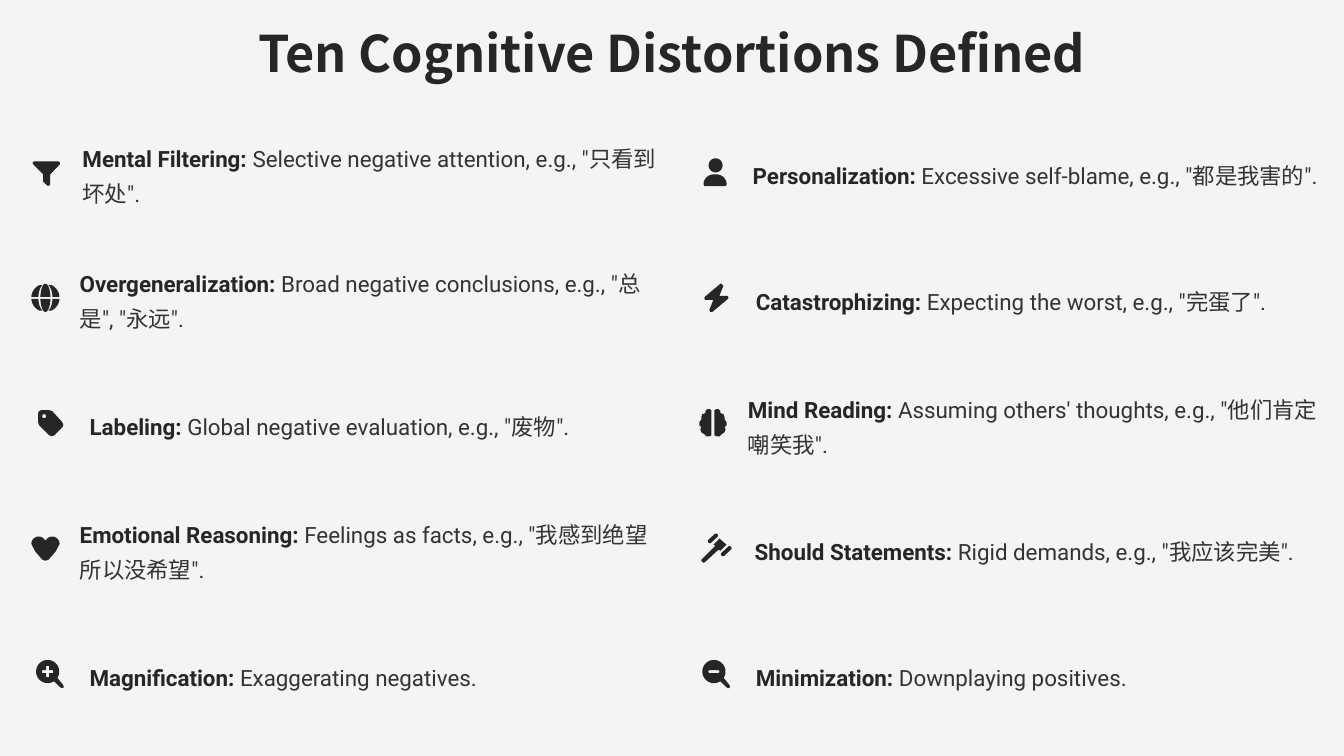
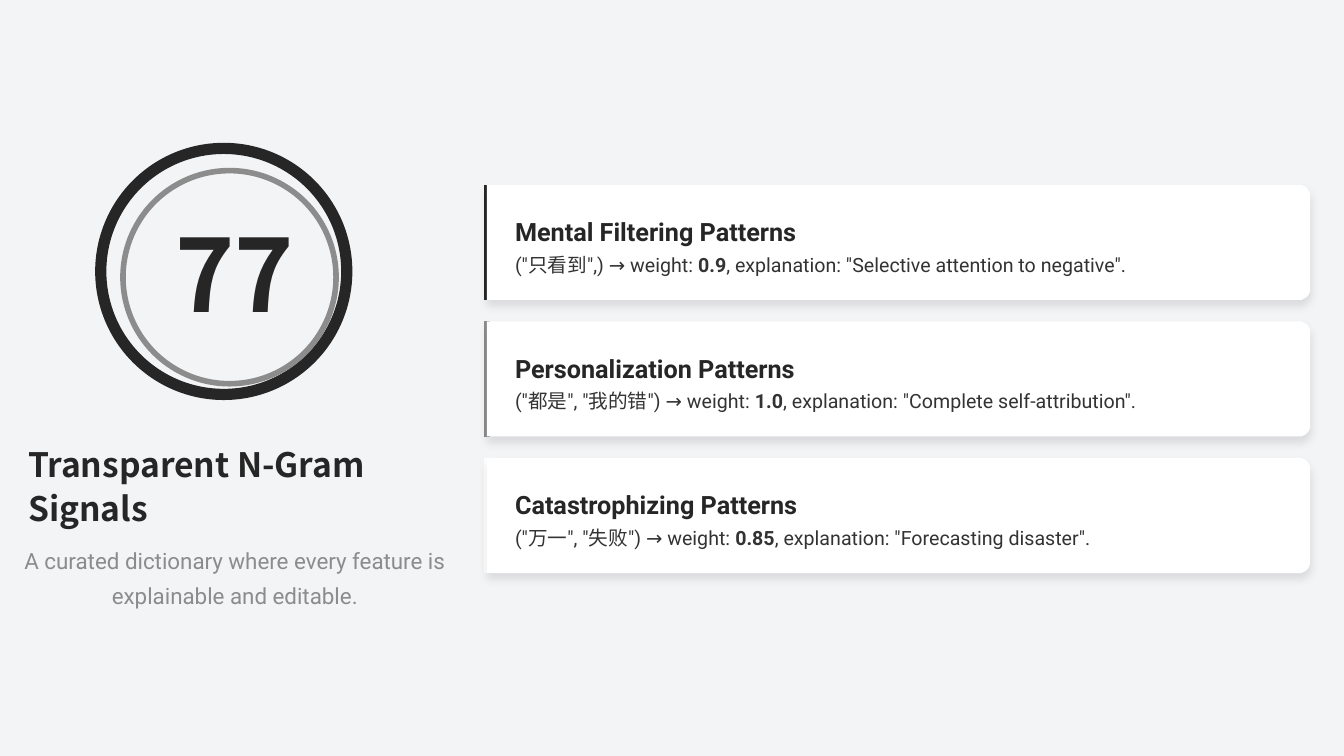
from math import atan2, cos, degrees, radians, sin

from lxml import etree
from pptx import Presentation
from pptx.dml.color import RGBColor
from pptx.enum.shapes import MSO_CONNECTOR, MSO_SHAPE
from pptx.enum.text import MSO_ANCHOR, PP_ALIGN
from pptx.oxml.ns import qn
from pptx.util import Cm, Pt

DARK, BODY, GRAY = "262626", "333333", "8C8C8C"
WHITE, BACKGROUND = "FFFFFF", "F3F4F6"
HEAD_FONT, BODY_FONT = "Noto Sans CJK SC", "Roboto"

STYLES = {
    "title": dict(name=HEAD_FONT, size=Pt(36), bold=True),
    "number": dict(name=HEAD_FONT, size=Pt(72), bold=True),
    "subtitle": dict(name=HEAD_FONT, size=Pt(24), bold=True),
    "term": dict(name=BODY_FONT, size=Pt(16), bold=True),
    "text": dict(name=BODY_FONT, size=Pt(16), bold=False),
    "card title": dict(name=BODY_FONT, size=Pt(18), bold=True),
    "card text": dict(name=BODY_FONT, size=Pt(14), bold=False),
    "card weight": dict(name=BODY_FONT, size=Pt(14), bold=True),
}

# Icon outlines are drawn on a grid of about 28 by 28 units.
ICON_UNIT = Cm(0.0254)
SUBSTEPS = 100  # freeform coordinates are whole numbers, so units are subdivided

# Icon, icon left, text left, term, definition: one row of lists per column.
LEFT_ITEMS = [
    ("funnel", 0.81, 2.08, "Mental Filtering:",
     ' Selective negative attention, e.g., "只看到坏处".'),
    ("globe", 0.79, 2.01, "Overgeneralization:",
     ' Broad negative conclusions, e.g., "总是", "永远".'),
    ("tag", 0.91, 2.26, "Labeling:", ' Global negative evaluation, e.g., "废物".'),
    ("heart", 0.79, 2.01, "Emotional Reasoning:",
     ' Feelings as facts, e.g., "我感到绝望所以没希望".'),
    ("zoom in", 0.91, 2.26, "Magnification:", " Exaggerating negatives."),
]
RIGHT_ITEMS = [
    ("person", 17.73, 18.97, "Personalization:",
     ' Excessive self-blame, e.g., "都是我害的".'),
    ("bolt", 17.75, 19.05, "Catastrophizing:", ' Expecting the worst, e.g., "完蛋了".'),
    ("brain", 17.6, 18.85, "Mind Reading:",
     ' Assuming others\' thoughts, e.g., "他们肯定嘲笑我".'),
    ("gavel", 17.65, 19.02, "Should Statements:",
     ' Rigid demands, e.g., "我应该完美".'),
    ("zoom out", 17.7, 19.05, "Minimization:", " Downplaying positives."),
]
CARDS = [
    (DARK, "Mental Filtering Patterns", '("只看到",) ', "0.9",
     "Selective attention to negative"),
    (GRAY, "Personalization Patterns", '("都是", "我的错") ', "1.0",
     "Complete self-attribution"),
    (WHITE, "Catastrophizing Patterns", '("万一", "失败") ', "0.85",
     "Forecasting disaster"),
]


def color(value):
    return RGBColor.from_string(value)


def arc(x, y, radius_x, radius_y, start, end, steps=18):
    """Points along an ellipse; angles in degrees, clockwise from the right."""
    angles = [radians(start + (end - start) * step / steps) for step in range(steps + 1)]
    return [(x + radius_x * cos(a), y + radius_y * sin(a)) for a in angles]


def capsule(x1, y1, x2, y2, radius):
    angle = degrees(atan2(y2 - y1, x2 - x1))
    return (arc(x2, y2, radius, radius, angle - 90, angle + 90)
            + arc(x1, y1, radius, radius, angle + 90, angle + 270))


def icon_outlines():
    """Contours of every icon; a contour inside another one is a hole."""
    globe = [arc(14, 14, 5, 14, 184, 356), arc(14, 14, 5, 14, 4, 176)]
    for start, end in ((184, 245), (356, 295), (4, 65), (176, 115)):
        globe.append(arc(14, 14, 14, 14, start, end) + arc(14, 14, 7, 14, end, start))
    half_brain = [(13, 1), (11, 0), (9, 0), (7, 2), (7, 4), (4, 5), (3, 8), (3, 10),
                  (1, 13), (1, 16), (3, 18), (2, 20), (3, 23), (6, 25), (8, 27),
                  (11, 27), (13, 26)]
    lens = (arc(11.5, 11.5, 11.5, 11.5, 57, 393, 40)
            + [(27, 25), (27.5, 27), (26, 28), (24.5, 27.5)])
    plus = [(10, 6), (13, 6), (13, 10), (17, 10), (17, 13), (13, 13),
            (13, 17), (10, 17), (10, 13), (6, 13), (6, 10), (10, 10)]
    return {
        "funnel": [[(2, 3), (26, 3), (27.5, 4), (27.5, 6), (18, 16), (18, 26),
                    (17, 27), (15, 27), (11, 23), (11, 16), (1, 6), (0.5, 4)]],
        "person": [arc(12, 7, 7, 7, 0, 360),
                   arc(10, 26, 10, 10, 180, 270) + arc(13, 26, 10, 10, 270, 360)
                   + [(22, 27.5), (1, 27.5)]],
        "globe": globe,
        "bolt": [[(17, 0), (19, 2), (15, 12), (23, 12), (24, 13.5), (23.5, 15),
                  (8, 28), (6, 28), (5, 26), (9, 16), (1, 16), (0, 14.5),
                  (0.5, 13), (16, 0)]],
        "tag": [[(2, 4), (3, 2), (5, 1), (13, 1), (16, 2), (26, 13), (27, 16),
                 (26, 18), (18, 26), (15.5, 27), (13, 26), (3, 16), (2, 13)],
                arc(8, 7, 2, 2, 0, 360)],
        "brain": [half_brain, [(29 - x, y) for x, y in half_brain]],
        "heart": [arc(7.3, 9.3, 7.3, 7.3, 180, 310) + [(14, 6)]
                  + arc(20.7, 9.3, 7.3, 7.3, 230, 360)
                  + [(24, 17), (17, 25), (14, 26), (11, 25), (4, 17)]],
        "gavel": [capsule(9.5, 6.5, 15.5, 1, 2), capsule(22.5, 19.5, 29, 13.5, 2),
                  [(13, 10), (19, 4), (26, 10), (20, 16), (18, 15), (5, 27),
                   (3.5, 28), (1.5, 27), (1, 25), (2, 24), (15, 11)]],
        "zoom in": [lens, plus],
        "zoom out": [lens, capsule(7.5, 11.5, 15.5, 11.5, 1.5)],
    }


def add_slide(presentation):
    slide = presentation.slides.add_slide(presentation.slide_layouts[6])
    slide.background.fill.solid()
    slide.background.fill.fore_color.rgb = color(BACKGROUND)
    return slide


def add_text(slide, left, top, width, height, runs, spacing, align=PP_ALIGN.LEFT):
    """Add one paragraph; each run is (text, style name, colour)."""
    shape = slide.shapes.add_textbox(Cm(left), Cm(top), Cm(width), Cm(height))
    frame_format = dict(word_wrap=True, vertical_anchor=MSO_ANCHOR.MIDDLE,
                        margin_left=0, margin_right=0, margin_top=0, margin_bottom=0)
    for name, value in frame_format.items():
        setattr(shape.text_frame, name, value)
    paragraph = shape.text_frame.paragraphs[0]
    paragraph.alignment = align
    paragraph.line_spacing = spacing
    for text, style, run_color in runs:
        run = paragraph.add_run()
        run.text = text
        for name, value in STYLES[style].items():
            setattr(run.font, name, value)
        run.font.color.rgb = color(run_color)


def add_outline(slide, left, top, contours, unit, fill):
    """Add a filled freeform whose points are measured in the given unit."""
    scaled = [[(x * SUBSTEPS, y * SUBSTEPS) for x, y in points] for points in contours]
    builder = slide.shapes.build_freeform(*scaled[0][0], scale=unit / SUBSTEPS)
    for index, points in enumerate(scaled):
        if index:
            builder.move_to(*points[0])
        builder.add_line_segments(points[1:], close=True)
    shape = builder.convert_to_shape(Cm(left), Cm(top))
    shape.shadow.inherit = False
    shape.fill.solid()
    shape.fill.fore_color.rgb = color(fill)
    shape.line.fill.background()
    return shape


def add_ring(slide, left, top, size, line_color, line_width):
    shape = slide.shapes.add_shape(MSO_SHAPE.OVAL, Cm(left), Cm(top), Cm(size), Cm(size))
    shape.shadow.inherit = False
    shape.fill.background()
    shape.line.color.rgb = color(line_color)
    shape.line.width = Pt(line_width)


def add_line(slide, x1, y1, x2, y2, line_color, line_width):
    line = slide.shapes.add_connector(MSO_CONNECTOR.STRAIGHT,
                                      Cm(x1), Cm(y1), Cm(x2), Cm(y2))
    line.line.color.rgb = color(line_color)
    line.line.width = Pt(line_width)
    etree.SubElement(line._element.spPr, qn("a:effectLst"))


def add_soft_shadow(shape):
    effects = shape._element.spPr.find(qn("a:effectLst"))
    shadow = etree.SubElement(effects, qn("a:outerShdw"), blurRad=str(Pt(6)),
                              dist=str(Pt(4)), dir="5400000", algn="bl",
                              rotWithShape="0")
    shade = etree.SubElement(shadow, qn("a:srgbClr"), val="000000")
    etree.SubElement(shade, qn("a:alpha"), val="10000")


def add_items(slide, items, right):
    """Add a column of icons and definitions that ends at the given right edge."""
    outlines = icon_outlines()
    for row, (icon, icon_left, text_left, term, definition) in enumerate(items):
        top = 3.48 + 3.16 * row
        add_outline(slide, icon_left, top + 0.51, outlines[icon], ICON_UNIT, DARK)
        add_text(slide, text_left, top, right - text_left, 1.7,
                 [(term, "term", DARK), (definition, "text", BODY)], 1.3)


def add_card(slide, top, accent, title, pattern, weight, explanation):
    left, width, height, radius = 12.27, 20.75, 2.9, 0.28
    add_line(slide, left, top, left, top + height, accent, 4)
    outline = ([(0, 0)] + arc(width - radius, radius, radius, radius, 270, 360)
               + arc(width - radius, height - radius, radius, radius, 0, 90)
               + [(0, height)])
    add_soft_shadow(add_outline(slide, left, top, [outline], Cm(1), WHITE))
    add_text(slide, 12.98, top + 0.57, 19.9, 0.99, [(title, "card title", DARK)], 1.3)
    add_text(slide, 12.98, top + 1.55, 19.9, 0.79,
             [(pattern + "→ weight: ", "card text", BODY),
              (weight, "card weight", BODY),
              (f', explanation: "{explanation}".', "card text", BODY)], 1.2)


def build_distortions(presentation):
    slide = add_slide(presentation)
    add_text(slide, 0.38, 0.71, 33.1, 1.42,
             [("Ten Cognitive Distortions Defined", "title", DARK)], 0.9,
             PP_ALIGN.CENTER)
    add_items(slide, LEFT_ITEMS, 16.65)
    add_items(slide, RIGHT_ITEMS, 33.45)


def build_signals(presentation):
    slide = add_slide(presentation)
    add_ring(slide, 2.54, 3.74, 6.2, DARK, 8)
    add_ring(slide, 3.1, 4.3, 5.37, GRAY, 4)
    add_text(slide, 4.42, 5.87, 4.27, 2.54, [("77", "number", DARK)], 0.8)
    add_text(slide, 0.71, 11.07, 10.87, 2.26,
             [("Transparent N-Gram Signals", "subtitle", DARK)], 1.1)
    add_text(slide, 0.56, 13.62, 10.72, 1.7,
             [("A curated dictionary where every feature is explainable and editable.",
               "text", GRAY)], 1.3, PP_ALIGN.CENTER)
    for row, card in enumerate(CARDS):
        add_card(slide, 4.66 + 3.44 * row, *card)


def main():
    presentation = Presentation()
    presentation.slide_width, presentation.slide_height = Cm(33.87), Cm(19.05)
    build_distortions(presentation)
    build_signals(presentation)
    presentation.save("out.pptx")


if __name__ == "__main__":
    main()
